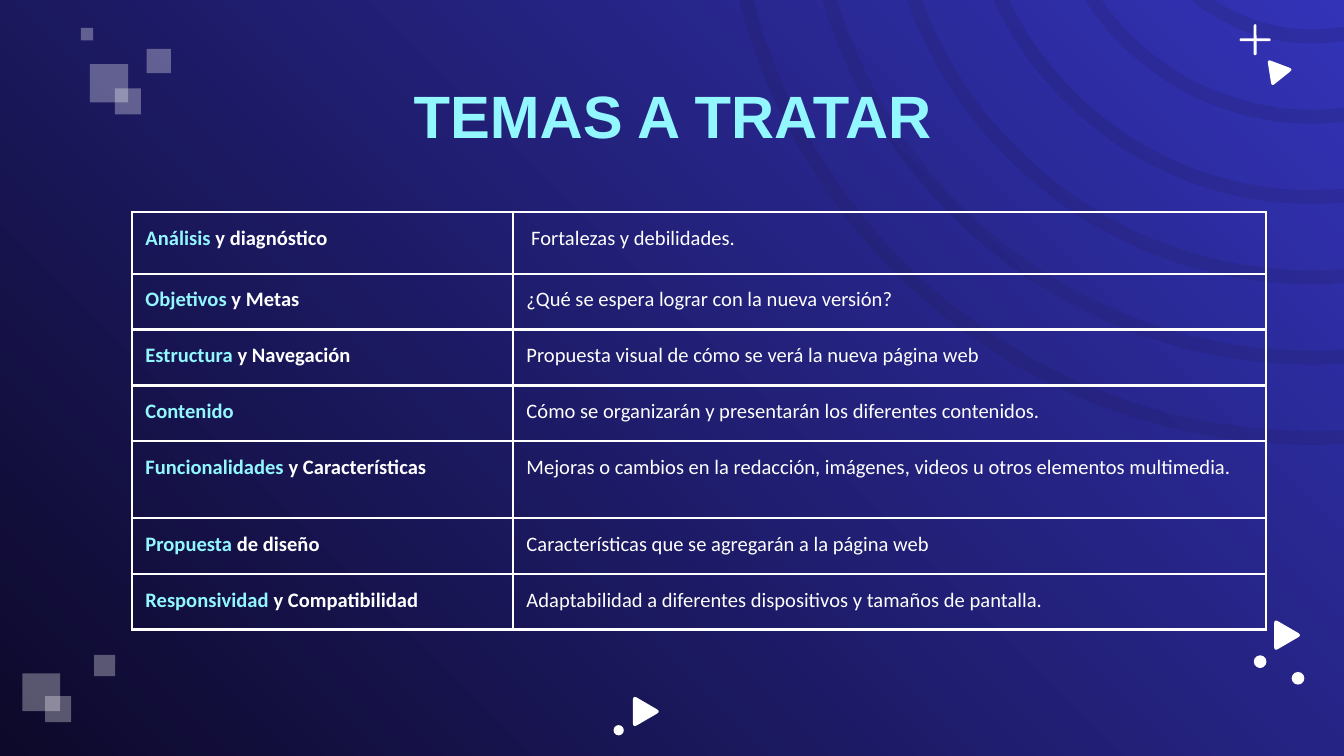
from lxml.etree import SubElement
from pptx import Presentation
from pptx.dml.color import RGBColor
from pptx.enum.shapes import MSO_SHAPE as Shape
from pptx.enum.text import MSO_ANCHOR as Anchor, PP_ALIGN as Align
from pptx.oxml import parse_xml
from pptx.oxml.ns import nsdecls, qn
from pptx.util import Pt

COLORS = {
    "night": "0D092A",
    "blue": "3333B8",
    "ring": "201A4A",
    "accent": "92F7FF",
    "white": "FFFFFF",
}
TOPICS = [
    ("Análisis ", "y diagnóstico", " Fortalezas y debilidades."),
    ("Objetivos ", "y Metas", "¿Qué se espera lograr con la nueva versión?"),
    ("Estructura ", "y Navegación", "Propuesta visual de cómo se verá la nueva página web"),
    ("Contenido", "", "Cómo se organizarán y presentarán los diferentes contenidos."),
    ("Funcionalidades ", "y Características",
     "Mejoras o cambios en la redacción, imágenes, videos u otros elementos multimedia."),
    ("Propuesta ", "de diseño", "Características que se agregarán a la página web"),
    ("Responsividad ", "y Compatibilidad",
     "Adaptabilidad a diferentes dispositivos y tamaños de pantalla."),
]
ROW_HEIGHTS = [33.2, 29.9, 29.9, 29.9, 41.3, 29.9, 29.9]
COLUMN_SHARES = [0.336, 0.664]


def color(name):
    return RGBColor.from_string(COLORS[name])


def paint(shape, name, opacity=100):
    shape.shadow.inherit = False
    shape.line.fill.background()
    shape.fill.solid()
    shape.fill.fore_color.rgb = color(name)
    if opacity < 100:
        rgb = shape.fill._xPr.find(qn("a:solidFill"))[0]
        SubElement(rgb, qn("a:alpha"), val=str(opacity * 1000))


def add_preset(slide, kind, left, top, width, height, name="white", opacity=100):
    shape = slide.shapes.add_shape(kind, Pt(left), Pt(top), Pt(width), Pt(height))
    paint(shape, name, opacity)
    return shape


def add_background(slide):
    fill = slide.background.fill
    fill.gradient()
    fill.gradient_angle = 45
    for stop, name, position in zip(fill.gradient_stops, ("night", "blue"), (0, 1)):
        stop.color.rgb = color(name)
        stop.position = position


def add_rings(slide, center_x, center_y, smallest=203.6, step=86, band=7.5, count=6):
    for index in reversed(range(count)):
        size = smallest + index * step
        ring = add_preset(slide, Shape.DONUT, center_x - size / 2, center_y - size / 2,
                          size, size, "ring", 17)
        ring.adjustments[0] = band / size


def add_squares(slide, left, top, squares):
    for x, y, size in squares:
        add_preset(slide, Shape.RECTANGLE, left + x, top + y, size, size, opacity=31)


def add_dot(slide, left, top, size):
    add_preset(slide, Shape.OVAL, left, top, size, size)


def add_plus(slide, left, top, size=16.6, bar=1.5):
    middle = (size - bar) / 2
    for x, y, width, height in [(middle, 0, bar, size), (0, middle, size, bar)]:
        shape = add_preset(slide, Shape.ROUNDED_RECTANGLE, left + x, top + y, width, height)
        shape.adjustments[0] = 0.5


def add_play(slide, left, top, width=13.8, height=15.2, rotation=0):
    """Add a triangle pointing right whose corners are rounded with quadratic curves."""
    corners = [(0, -0.07), (1.08, 0.5), (0, 1.07)]
    cut, steps = 0.15, 6

    def toward(start, end, share):
        return tuple(a + (b - a) * share for a, b in zip(start, end))

    points = []
    for index, corner in enumerate(corners):
        entry = toward(corner, corners[index - 1], cut)
        leave = toward(corner, corners[(index + 1) % 3], cut)
        for step in range(steps + 1):
            share = step / steps
            x, y = toward(toward(entry, corner, share), toward(corner, leave, share), share)
            points.append((Pt(left + x * width), Pt(top + y * height)))
    builder = slide.shapes.build_freeform(*points[0])
    builder.add_line_segments(points[1:], close=True)
    shape = builder.convert_to_shape()
    paint(shape, "white")
    shape.rotation = rotation


def add_decorations(slide):
    add_rings(slide, 702.9, -78.5)
    add_squares(slide, 43.3, 15, [(4.9, 19.4, 20.5), (18.2, 32.3, 14), (35.2, 11.2, 13), (0, 0, 6.7)])
    add_squares(slide, 12, 350.9, [(38.4, 0, 11.3), (0, 9.9, 20.3), (12.2, 22.1, 13.9)])
    add_plus(slide, 664.1, 13)
    add_play(slide, 680, 31.7, 11.9, 12.9, rotation=-9)
    add_play(slide, 682.6, 332.7)
    add_play(slide, 339.1, 373.6)
    add_dot(slide, 692, 360, 6.8)
    add_dot(slide, 671.7, 351.1, 6.8)
    add_dot(slide, 328.7, 388.5, 5.5)


def add_title(slide, left, top, width, height):
    box = slide.shapes.add_textbox(Pt(left), Pt(top), Pt(width), Pt(height))
    frame = box.text_frame
    frame.word_wrap = True
    frame.vertical_anchor = Anchor.MIDDLE
    paragraph = frame.paragraphs[0]
    paragraph.alignment = Align.CENTER
    set_font(paragraph.font, "Arial", 32, "accent", True)
    paragraph.add_run().text = "TEMAS A TRATAR"


def set_font(font, family, size, name, bold):
    font.name = family
    font.size = Pt(size)
    font.bold = bold
    font.color.rgb = color(name)


def style_cell(cell):
    cell.margin_left = cell.margin_right = cell.margin_top = cell.margin_bottom = Pt(7.2)
    cell.fill.background()
    properties = cell._tc.get_or_add_tcPr()
    for index, side in enumerate("LRTB"):
        properties.insert(index, parse_xml(
            f'<a:ln{side} {nsdecls("a")} w="{Pt(1.5)}"><a:solidFill>'
            f'<a:srgbClr val="{COLORS["white"]}"/></a:solidFill></a:ln{side}>'))


def add_topics(slide, left, top, width):
    frame = slide.shapes.add_table(len(TOPICS), 2, Pt(left), Pt(top), Pt(width),
                                   Pt(sum(ROW_HEIGHTS)))
    table = frame.table
    table.first_row = table.horz_banding = False
    for column, share in zip(table.columns, COLUMN_SHARES):
        column.width = Pt(width * share)
    for row, height, (keyword, rest, detail) in zip(table.rows, ROW_HEIGHTS, TOPICS):
        row.height = Pt(height)
        contents = [[(keyword, "accent"), (rest, "white")], [(detail, "white")]]
        for cell, runs, bold in zip(row.cells, contents, (True, False)):
            style_cell(cell)
            paragraph = cell.text_frame.paragraphs[0]
            set_font(paragraph.font, "Calibri", 11, "white", bold)
            for text, name in runs:
                if text:
                    run = paragraph.add_run()
                    run.text = text
                    run.font.color.rgb = color(name)


def main():
    presentation = Presentation()
    presentation.slide_width, presentation.slide_height = Pt(720), Pt(405)
    slide = presentation.slides.add_slide(presentation.slide_layouts[6])
    add_background(slide)
    add_decorations(slide)
    add_title(slide, 56.9, 42.5, 607, 37.4)
    add_topics(slide, 70.7, 113.5, 607.6)
    presentation.save("out.pptx")


if __name__ == "__main__":
    main()
